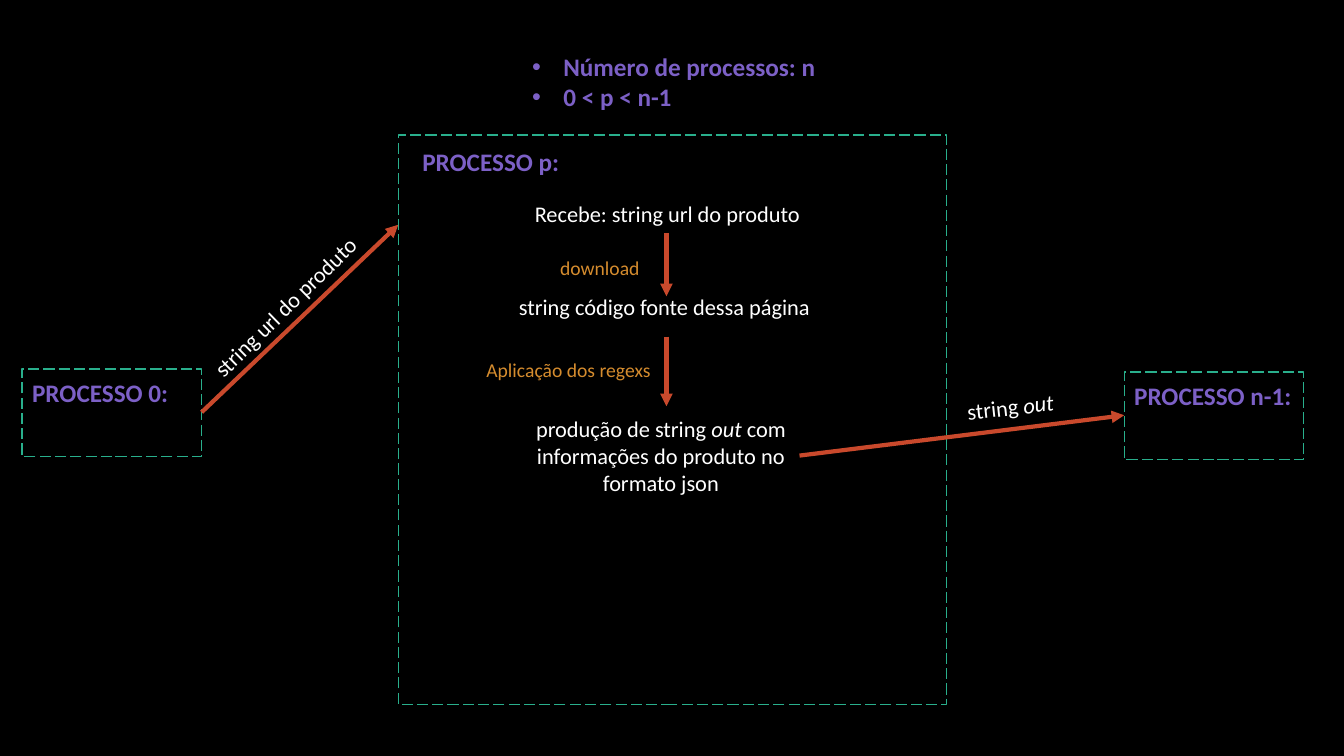
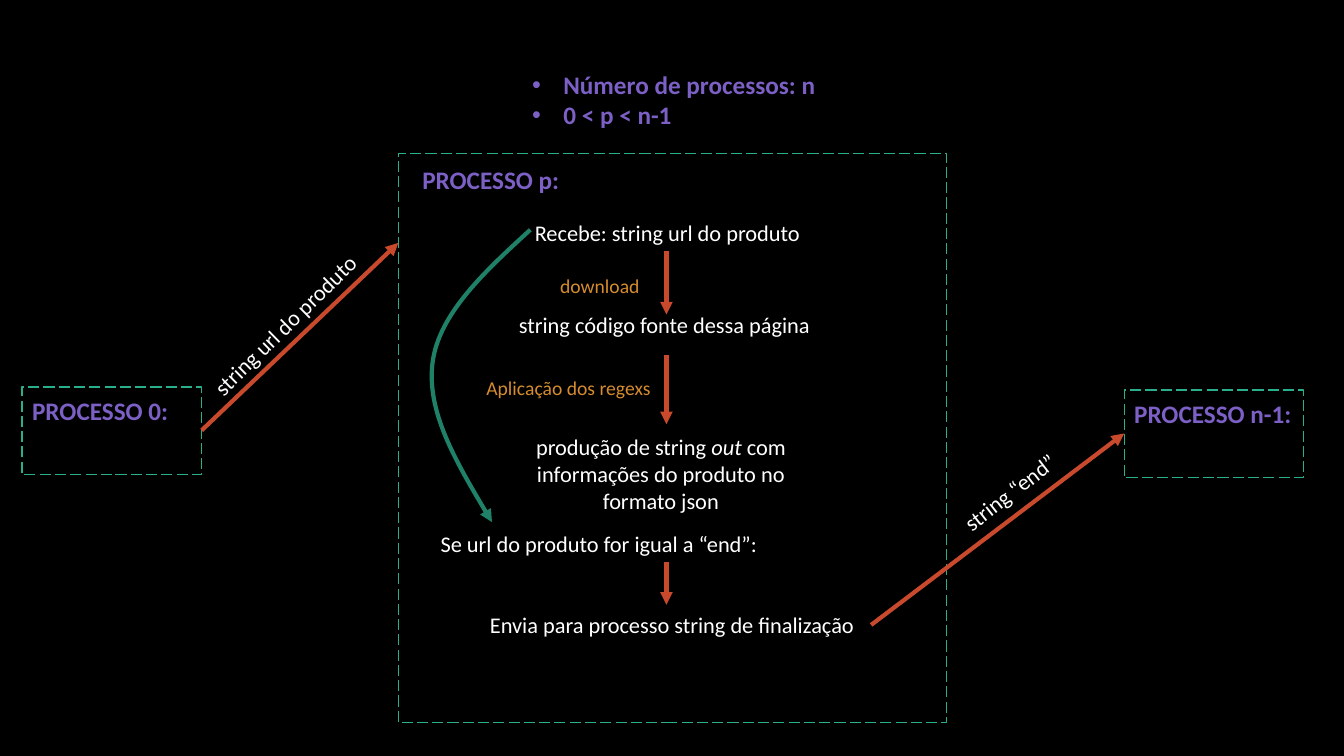
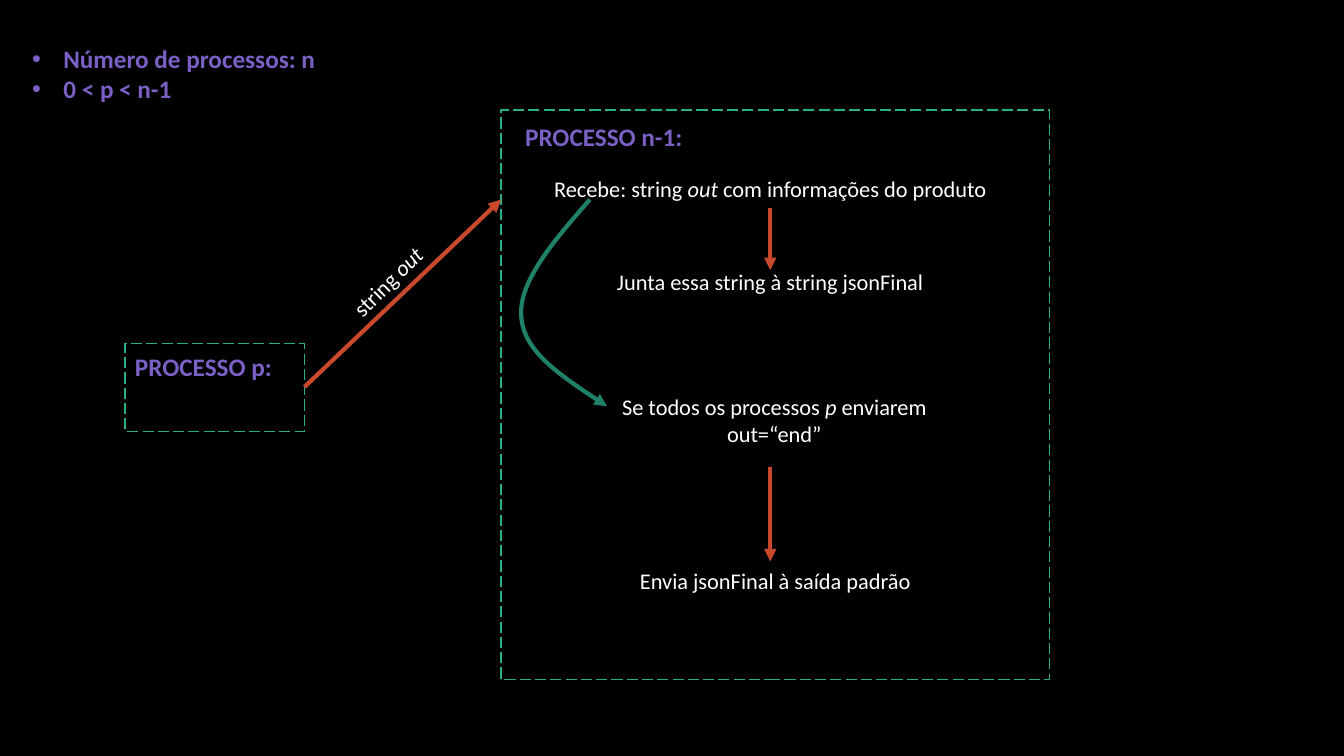
from lxml import etree
from pptx import Presentation
from pptx.dml.color import RGBColor
from pptx.enum import dml, shapes, text
from pptx.oxml import ns
from pptx.util import Emu, Inches, Pt

COLORS = {
    "background": "000000",
    "frame": "29AF8C",
    "heading": "7C60C6",
    "body": "FFFFFF",
    "step": "D58C2E",
    "arrow": "C9492C",
    "curve": "1E8168",
}
FONT = "Calibri"
SMALL_BOX = (1.78, 0.87)
PANEL = (5.44, 5.65)


def rgb(name):
    return RGBColor.from_string(COLORS[name])


def add_text(s, content, x, y, w, h, size=16, color="body", bold=False,
             center=True, bullet=False, wrap=True, rotation=0):
    sp = s.shapes.add_textbox(Inches(x), Inches(y), Inches(w), Inches(h))
    sp.rotation = rotation
    tf = sp.text_frame
    tf.word_wrap = wrap
    tf.auto_size = text.MSO_AUTO_SIZE.SHAPE_TO_FIT_TEXT
    for i, line in enumerate(content.split("\n")):
        p = tf.add_paragraph() if i else tf.paragraphs[0]
        p.alignment = text.PP_ALIGN.CENTER if center else text.PP_ALIGN.LEFT
        if bullet:
            add_bullet(p)
        for n, part in enumerate(line.split("_")):
            if not part:
                continue
            r = p.add_run()
            r.text = part
            r.font.name = FONT
            r.font.size = Pt(size)
            r.font.bold = bold
            r.font.italic = n % 2 == 1
            r.font.color.rgb = rgb(color)
    return sp


def add_bullet(p):
    pPr = p._p.get_or_add_pPr()
    pPr.set("marL", str(Inches(0.31)))
    pPr.set("indent", str(-Inches(0.31)))
    etree.SubElement(pPr, ns.qn("a:buFont")).set("typeface", "Arial")
    etree.SubElement(pPr, ns.qn("a:buChar")).set("char", "•")


def add_heading(s, content, x, y, w=1.78, h=0.4, bullet=False):
    add_text(s, content, x, y, w, h, size=18, color="heading", bold=True,
             center=False, bullet=bullet)


def add_frame(s, x, y, size):
    w, h = size
    sp = s.shapes.add_shape(shapes.MSO_SHAPE.RECTANGLE,
                            Inches(x), Inches(y), Inches(w), Inches(h))
    sp.shadow.inherit = False
    sp.fill.background()
    sp.line.color.rgb = rgb("frame")
    sp.line.width = Pt(1)
    sp.line.dash_style = dml.MSO_LINE.LONG_DASH


def format_arrow(sp, color):
    sp.line.color.rgb = rgb(color)
    sp.line.width = Pt(3)
    ln = sp.line._get_or_add_ln()
    etree.SubElement(ln, ns.qn("a:tailEnd")).set("type", "triangle")


def add_arrow(s, x1, y1, x2, y2):
    c = s.shapes.add_connector(shapes.MSO_CONNECTOR.STRAIGHT, Inches(x1),
                               Inches(y1), Inches(x2), Inches(y2))
    format_arrow(c, "arrow")
    etree.SubElement(c._element.spPr, ns.qn("a:effectLst"))


def add_curve(s, start, *segments):
    points = [tuple(map(Inches, pt)) for pt in (start,) + tuple(seg[-1] for seg in segments)]
    fb = s.shapes.build_freeform(*points[0])
    fb.add_line_segments(points[1:], close=False)
    sp = fb.convert_to_shape()
    sp.shadow.inherit = False
    sp.fill.background()
    format_arrow(sp, "curve")
    left, top = sp.left, sp.top
    for line, seg in zip(sp._element.xpath(".//a:lnTo"), segments):
        bezier = etree.Element(ns.qn("a:cubicBezTo"))
        for x, y in seg:
            pt = etree.SubElement(bezier, ns.qn("a:pt"))
            pt.set("x", str(Emu(Inches(x) - left)))
            pt.set("y", str(Emu(Inches(y) - top)))
        line.getparent().replace(line, bezier)


def add_small_process(s, name, x, y):
    add_frame(s, x, y, SMALL_BOX)
    add_heading(s, name, x, y + 0.03)


def add_process_pair(s, sender, receiver, message, x, y):
    add_frame(s, x, y, PANEL)
    add_heading(s, receiver, x + 0.14, y + 0.06)
    add_small_process(s, sender, x - 3.73, y + 2.32)
    add_arrow(s, x - 1.95, y + 2.75, x, y + 0.89)
    add_text(s, message, x - 2.3, y + 1.52, 2.35, 0.37, rotation=315.5)


def add_conditions(s, x, y):
    add_heading(s, "Número de processos: n\n0 < p < n-1", x, y, 3.73, 0.71, bullet=True)


def add_worker(s, y):
    add_conditions(s, 5.18, y - 0.88)
    add_process_pair(s, "PROCESSO 0:", "PROCESSO p:", "string url do produto", 3.95, y)
    add_small_process(s, "PROCESSO n-1:", 11.15, y + 2.35)
    add_text(s, "Recebe: string url do produto", 4.09, y + 0.6, 5.06, 0.37)
    add_arrow(s, 6.61, y + 0.97, 6.61, y + 1.6)
    add_text(s, "download", 5.28, y + 1.15, 1.34, 0.34, size=14, color="step")
    add_text(s, "string código fonte dessa página ", 4.39, y + 1.52, 4.45, 0.37)
    add_arrow(s, 6.61, y + 2, 6.61, y + 2.69)
    add_text(s, "Aplicação dos regexs", 4.61, y + 2.16, 2.06, 0.34, size=14, color="step")
    add_text(s, "produção de string _out_ com informações do produto no formato json",
             5.18, y + 2.73, 2.75, 0.91)


def build_output_slide(s):
    add_worker(s, 1.34)
    add_arrow(s, 7.93, 4.52, 11.15, 4.12)
    add_text(s, "string _out _", 8.87, 3.85, 2.35, 0.37, rotation=353.7)


def build_end_slide(s):
    add_worker(s, 1.52)
    add_text(s, "Se url do produto for igual a “end”:", 4.25, 5.21, 3.38, 0.37, wrap=False)
    add_arrow(s, 6.61, 5.58, 6.61, 6)
    add_text(s, "Envia para processo string de finalização", 4.69, 6.01, 3.95, 0.37, wrap=False)
    add_arrow(s, 8.64, 6.2, 11.15, 4.3)
    add_curve(s, (5.26, 2.28),
              [(4.8, 2.7), (4.35, 3.12), (4.29, 3.6)],
              [(4.23, 4.08), (4.55, 4.63), (4.88, 5.18)])
    add_text(s, "string “end”", 8.84, 4.7, 2.35, 0.37, rotation=322.3)


def build_collector_slide(s):
    add_conditions(s, 0.22, 0.38)
    add_process_pair(s, "PROCESSO p:", "PROCESSO n-1:", "string _out_", 4.97, 1.09)
    add_text(s, "Recebe: string _out_ com informações do produto", 5.11, 1.69, 5.06, 0.37)
    add_arrow(s, 7.64, 2.06, 7.64, 2.68)
    add_text(s, "Junta essa string à string jsonFinal", 5.81, 2.61, 3.66, 0.37)
    add_text(s, "Se todos os processos _p_ enviarem out=“end”", 5.85, 3.85, 3.66, 0.64)
    add_arrow(s, 7.64, 4.63, 7.64, 5.57)
    add_text(s, "Envia jsonFinal à saída padrão", 6.23, 5.58, 2.92, 0.37, wrap=False)
    add_curve(s, (5.85, 1.98),
              [(5.49, 2.39), (5.14, 2.8), (5.17, 3.14)],
              [(5.19, 3.48), (5.61, 3.76), (6.02, 4.03)])


def main():
    prs = Presentation()
    prs.slide_width, prs.slide_height = Inches(13.33), Inches(7.5)
    fill = prs.slide_master.background.fill
    fill.solid()
    fill.fore_color.rgb = rgb("background")
    for build in (build_output_slide, build_end_slide, build_collector_slide):
        build(prs.slides.add_slide(prs.slide_layouts[6]))
    prs.save("out.pptx")


main()
